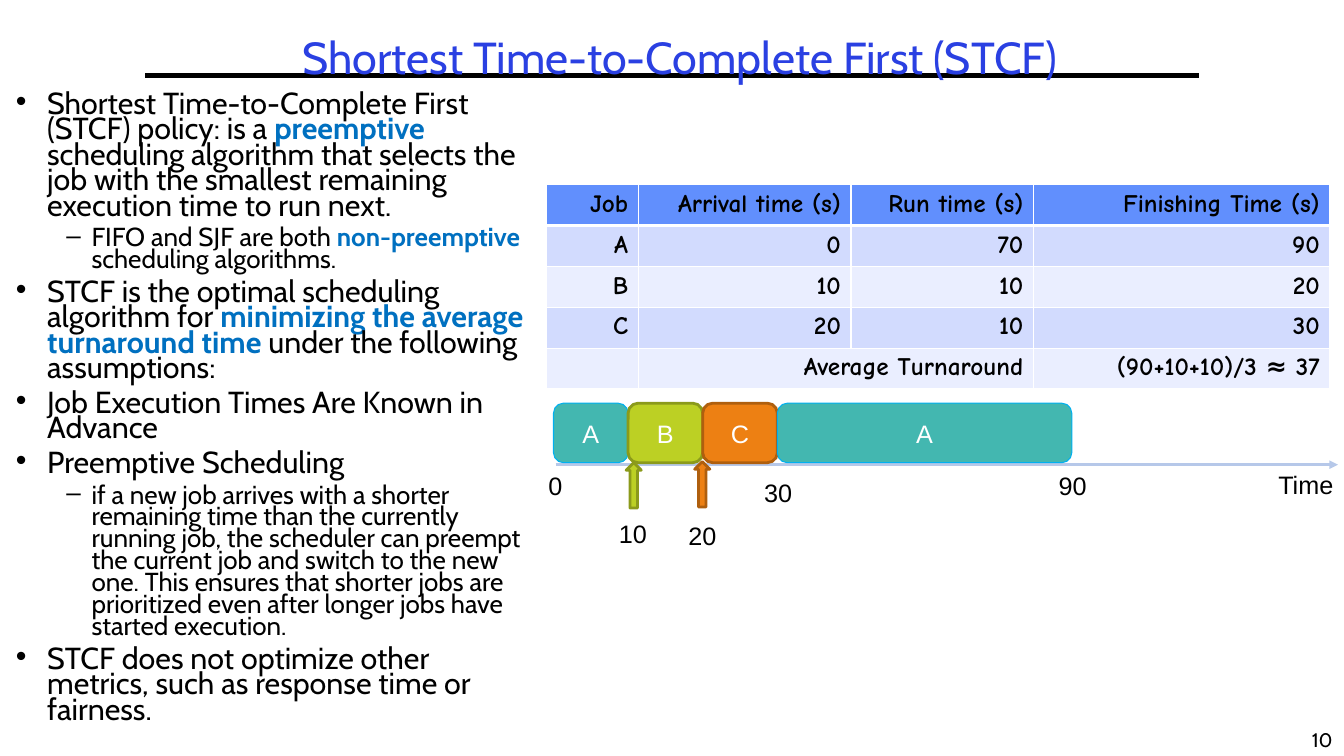
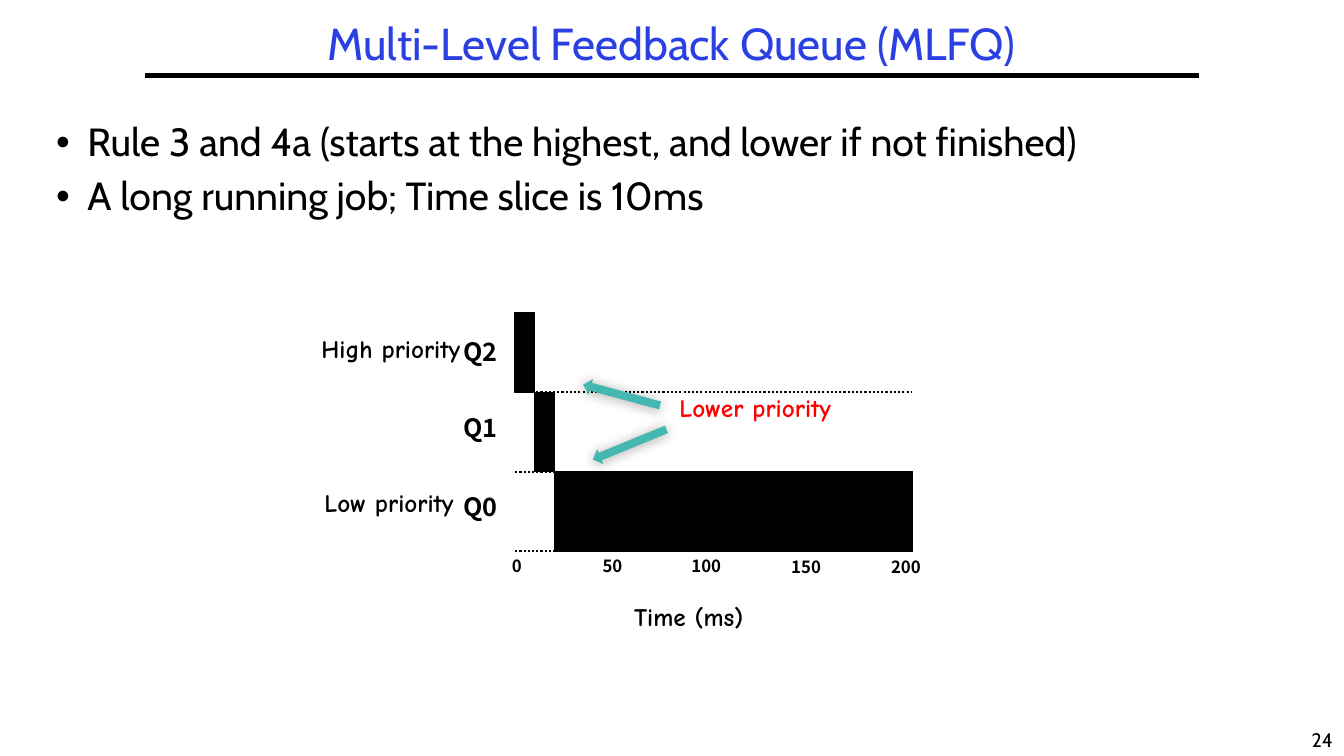
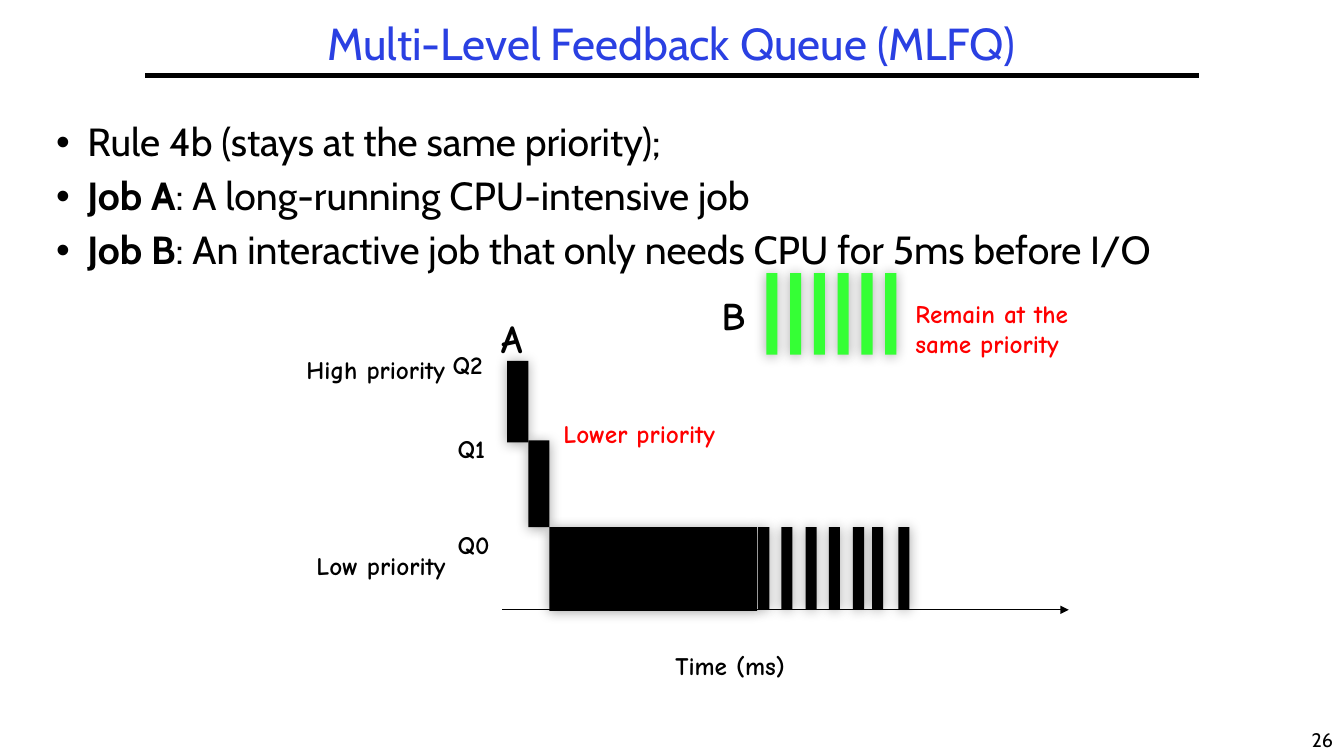
from dataclasses import dataclass, replace
from typing import NamedTuple, Optional

from lxml import etree
from pptx import Presentation
from pptx.dml.color import RGBColor
from pptx.enum.dml import MSO_LINE
from pptx.enum.shapes import MSO_CONNECTOR, MSO_SHAPE
from pptx.enum.text import MSO_ANCHOR, MSO_AUTO_SIZE, PP_ALIGN
from pptx.oxml.ns import qn
from pptx.util import Inches, Pt

RECT = MSO_SHAPE.RECTANGLE
ROUND_RECT = MSO_SHAPE.ROUNDED_RECTANGLE
LEFT_ARROW = MSO_SHAPE.LEFT_ARROW
STRAIGHT = MSO_CONNECTOR.STRAIGHT
SYS_DOT = MSO_LINE.ROUND_DOT
LEFT, CENTER, RIGHT = PP_ALIGN.LEFT, PP_ALIGN.CENTER, PP_ALIGN.RIGHT
TOP, MIDDLE = MSO_ANCHOR.TOP, MSO_ANCHOR.MIDDLE
FIT_SHAPE = MSO_AUTO_SIZE.SHAPE_TO_FIT_TEXT

BLACK, WHITE, RED = "000000", "FFFFFF", "FF0000"
TITLE_BLUE, KEYWORD_BLUE = "2A40E2", "0070C0"
TEAL, CYAN = "43B7B0", "00B0F0"
LIME, DARK_LIME = "BCD024", "8B9A1B"
ORANGE, DARK_ORANGE = "ED8013", "AF5F0E"
AXIS_BLUE, GREEN = "B6C8E9", "35FF35"
HEADER_FILL, BAND_FILLS = "618FFD", ("D2DBFE", "EAEEFF")


@dataclass(frozen=True)
class TextStyle:
    font: str
    size: float
    height: float
    color: str = BLACK
    bold: bool = False
    align: PP_ALIGN = LEFT
    wrap: bool = False


class Label(NamedTuple):
    x: float
    y: float
    w: float
    text: str


class Line(NamedTuple):
    x1: float
    x2: float
    y: float
    color: str
    width: float


class Bullet(NamedTuple):
    """Text between asterisks is emphasised."""
    text: str
    level: int = 0


class BodyStyle(NamedTuple):
    sizes: tuple[float, ...]
    spacing: float
    emphasis: str


class Arrow(NamedTuple):
    x: float
    y: float
    w: float
    h: float
    angle: float
    fill: str
    outline: Optional[str] = None


class Job(NamedTuple):
    name: str
    w: float
    fill: str
    outline: str
    weight: float


TITLE = TextStyle("Cabin", 32, 0.58, TITLE_BLUE, align=CENTER, wrap=True)
NUMBER = TextStyle("Cabin", 14, 0.33, align=CENTER)
ARIAL = TextStyle("Arial", 18, 0.4)
COMIC = TextStyle("Comic Neue", 18, 0.4, bold=True)
COMIC_RED = replace(COMIC, color=RED)
COMIC_BIG = replace(COMIC, size=28, height=0.57)
QUEUE = TextStyle("Noto Sans CJK KR", 18, 0.4, bold=True, align=CENTER, wrap=True)
TICK = replace(QUEUE, size=12, height=0.3)

BULLETS = (("•", 0.31, -0.31), ("–", 0.75, -0.25))
DENSE = BodyStyle((21.7, 18.6), 0.7, KEYWORD_BLUE)
ROOMY = BodyStyle((28,), 0.9, BLACK)
TITLE_AREA = (0.46, 0.17, 12.4)
BODY_AREA = (0.46, 1.17, 12.4, 5.99)


def rgb(color: str) -> RGBColor:
    return RGBColor.from_string(color)


def style_font(font, name: str, size: float, color: str, bold: bool) -> None:
    font.name, font.size, font.bold = name, Pt(size), bold
    font.color.rgb = rgb(color)


def style_paragraph(p, style: TextStyle) -> None:
    p.alignment = style.align
    for r in p.runs:
        style_font(r.font, style.font, style.size, style.color, style.bold)


def add_label(slide, label: Label, style: TextStyle):
    sp = slide.shapes.add_textbox(Inches(label.x), Inches(label.y),
                                  Inches(label.w), Inches(style.height))
    tf = sp.text_frame
    tf.text = label.text
    tf.word_wrap = style.wrap
    tf.auto_size = FIT_SHAPE
    style_paragraph(tf.paragraphs[0], style)
    return tf


def add_labels(slide, style: TextStyle, *labels: Label) -> None:
    for label in labels:
        add_label(slide, label, style)


def add_line(slide, line: Line, arrow: bool = False, dotted: bool = False) -> None:
    sp = slide.shapes.add_connector(STRAIGHT, Inches(line.x1), Inches(line.y),
                                    Inches(line.x2), Inches(line.y))
    sp.line.color.rgb = rgb(line.color)
    sp.line.width = Pt(line.width)
    if dotted:
        sp.line.dash_style = SYS_DOT
    if arrow:
        etree.SubElement(sp.line._get_or_add_ln(), qn("a:tailEnd"), type="triangle")
    etree.SubElement(sp._element.spPr, qn("a:effectLst"))


def add_shape(slide, kind, x: float, y: float, w: float, h: float, fill: str,
              outline: Optional[str] = None, weight: float = 0.75):
    sp = slide.shapes.add_shape(kind, Inches(x), Inches(y), Inches(w), Inches(h))
    sp.shadow.inherit = False
    sp.fill.solid()
    sp.fill.fore_color.rgb = rgb(fill)
    if outline:
        sp.line.color.rgb = rgb(outline)
        sp.line.width = Pt(weight)
    else:
        sp.line.fill.background()
    return sp


def add_soft_shadow(sp) -> None:
    effects = sp._element.spPr.find(qn("a:effectLst"))
    shadow = etree.SubElement(effects, qn("a:outerShdw"), blurRad=str(Pt(9)),
                              dist=str(Pt(1)), dir="5400000", rotWithShape="0")
    color = etree.SubElement(shadow, qn("a:srgbClr"), val=BLACK)
    etree.SubElement(color, qn("a:alpha"), val="35000")


def add_shadowed_bar(slide, x: float, y: float, w: float, h: float, fill: str) -> None:
    add_soft_shadow(add_shape(slide, RECT, x, y, w, h, fill))


def add_arrow(slide, arrow: Arrow) -> None:
    """Outlined arrows are flat, the others cast a shadow."""
    sp = add_shape(slide, LEFT_ARROW, arrow.x, arrow.y, arrow.w, arrow.h,
                   arrow.fill, arrow.outline, 2)
    sp.rotation = arrow.angle
    if not arrow.outline:
        add_soft_shadow(sp)


def add_bullets(slide, area: tuple[float, ...], bullets: list[Bullet],
                style: BodyStyle) -> None:
    sp = slide.shapes.add_textbox(*map(Inches, area))
    tf = sp.text_frame
    tf.word_wrap = True
    for i, bullet in enumerate(bullets):
        p = tf.add_paragraph() if i else tf.paragraphs[0]
        char, margin, indent = BULLETS[bullet.level]
        size = style.sizes[bullet.level]
        pPr = p._p.get_or_add_pPr()
        pPr.set("marL", str(Inches(margin)))
        pPr.set("indent", str(Inches(indent)))
        etree.SubElement(pPr, qn("a:buFont"), typeface="Arial")
        etree.SubElement(pPr, qn("a:buChar"), char=char)
        p.level = bullet.level
        p.line_spacing = style.spacing
        if i:
            p.space_before = Pt(round(0.3 * size, 1))
        for n, part in enumerate(bullet.text.split("*")):
            if part:
                r = p.add_run()
                r.text = part
                strong = n % 2 == 1
                style_font(r.font, "Cabin", size, style.emphasis if strong else BLACK, strong)


def add_base_slide(prs, title: str, number: int, title_area=TITLE_AREA):
    slide = prs.slides.add_slide(prs.slide_layouts[6])
    add_label(slide, Label(12.9, 7.17, 0.43, str(number)), NUMBER)
    add_line(slide, Line(1.44, 11.89, 0.75, BLACK, 3))
    tf = add_label(slide, Label(*title_area, title), TITLE)
    tf.vertical_anchor = MIDDLE
    tf.paragraphs[0].line_spacing = 0.9
    return slide


def add_borders(cell, bottom: float) -> None:
    tcPr = cell._tc.get_or_add_tcPr()
    for side, width in (("L", 1), ("R", 1), ("T", 1), ("B", bottom)):
        ln = etree.SubElement(tcPr, qn(f"a:ln{side}"), w=str(Pt(width)))
        fill = etree.SubElement(ln, qn("a:solidFill"))
        etree.SubElement(fill, qn("a:srgbClr"), val=WHITE)


def add_job_table(slide) -> None:
    rows = [
        ("Job", "Arrival time (s)", "Run time (s)", "Finishing Time (s)"),
        ("A", "0", "70", "90"),
        ("B", "10", "10", "20"),
        ("C", "20", "10", "30"),
        ("", "Average Turnaround", "", "(90+10+10)/3 ≈ 37"),
    ]
    widths = (0.91, 2.11, 1.81, 2.94)
    table = slide.shapes.add_table(len(rows), len(widths), Inches(5.42), Inches(1.83),
                                   Inches(sum(widths)), Inches(2.03)).table
    for column, width in zip(table.columns, widths):
        column.width = Inches(width)
    for i, row in enumerate(rows):
        for j, text in enumerate(row):
            cell = table.cell(i, j)
            add_borders(cell, 1 if i else 3)
            cell.fill.solid()
            cell.fill.fore_color.rgb = rgb(BAND_FILLS[(i - 1) % 2] if i else HEADER_FILL)
            cell.text = text
            style_paragraph(cell.text_frame.paragraphs[0], replace(COMIC, align=RIGHT))
    table.cell(4, 1).merge(table.cell(4, 2))


def add_job_timeline(slide) -> None:
    jobs = [
        Job("A", 0.74, TEAL, CYAN, 0.75),
        Job("B", 0.74, LIME, DARK_LIME, 2),
        Job("C", 0.74, ORANGE, DARK_ORANGE, 2),
        Job("A", 2.92, TEAL, CYAN, 0.75),
    ]
    add_line(slide, Line(5.51, 13.27, 4.61, AXIS_BLUE, 2), arrow=True)
    x = 5.49
    for job in jobs:
        sp = add_shape(slide, ROUND_RECT, x, 4, job.w, 0.59, job.fill, job.outline, job.weight)
        tf = sp.text_frame
        tf.text = job.name
        tf.vertical_anchor = MIDDLE
        style_paragraph(tf.paragraphs[0], replace(ARIAL, color=WHITE, align=CENTER))
        x += job.w
    add_labels(slide, ARIAL,
               Label(12.58, 4.61, 0.75, "Time"), Label(5.34, 4.62, 0.34, "0"),
               Label(6.04, 5.09, 0.48, "10"), Label(6.73, 5.11, 0.48, "20"),
               Label(7.48, 4.69, 0.48, "30"), Label(10.4, 4.62, 0.48, "90"))
    add_arrow(slide, Arrow(6.06, 4.74, 0.45, 0.15, 90, LIME, DARK_LIME))
    add_arrow(slide, Arrow(6.74, 4.73, 0.45, 0.15, 90, ORANGE, DARK_ORANGE))


def build_stcf(prs) -> None:
    slide = add_base_slide(prs, "Shortest Time-to-Complete First (STCF)", 10, (2.01, 0.3, 9.47))
    add_bullets(slide, (0.06, 0.88, 5.24, 6.7), [
        Bullet("Shortest Time-to-Complete First (STCF) policy: is a *preemptive* scheduling "
               "algorithm that selects the job with the smallest remaining execution time "
               "to run next."),
        Bullet("FIFO and SJF are both *non-preemptive *scheduling algorithms.", 1),
        Bullet("STCF is the optimal scheduling algorithm for *minimizing the average "
               "turnaround time *under the following assumptions:"),
        Bullet("Job Execution Times Are Known in Advance"),
        Bullet("Preemptive Scheduling"),
        Bullet("if a new job arrives with a shorter remaining time than the currently running "
               "job, the scheduler can preempt the current job and switch to the new one. "
               "This ensures that shorter jobs are prioritized even after longer jobs have "
               "started execution.", 1),
        Bullet("STCF does not optimize other metrics, such as response time or fairness."),
    ], DENSE)
    add_job_timeline(slide)
    add_job_table(slide)


def build_long_job(prs) -> None:
    slide = add_base_slide(prs, "Multi-Level Feedback Queue (MLFQ)", 24)
    add_bullets(slide, BODY_AREA, [
        Bullet("Rule 3 and 4a (starts at the highest, and lower if not finished)"),
        Bullet("A long running job; Time slice is 10ms"),
    ], ROOMY)
    lane_top, lane_h, slice_w = 3.1, 0.79, 0.2
    lanes = (("Q2", 3.29, slice_w), ("Q1", 4.04, slice_w), ("Q0", 4.83, 3.55))
    for i, (queue, label_y, bar_w) in enumerate(lanes):
        y = lane_top + i * lane_h
        add_line(slide, Line(5.11, 9.05, y + lane_h, BLACK, 1.5), dotted=True)
        add_shape(slide, RECT, 5.1 + i * slice_w, y, bar_w, lane_h, BLACK, BLACK)
        add_label(slide, Label(4.42, label_y, 0.69, queue), QUEUE)
    add_labels(slide, TICK,
               Label(4.98, 5.46, 0.24, "0"), Label(5.84, 5.46, 0.47, "50"),
               Label(6.7, 5.46, 0.61, "100"), Label(7.69, 5.47, 0.61, "150"),
               Label(8.68, 5.47, 0.61, "200"))
    add_labels(slide, COMIC,
               Label(6.19, 5.92, 1.4, "Time (ms)"), Label(3.09, 3.26, 1.76, "High priority"),
               Label(3.12, 4.79, 1.67, "Low priority"))
    add_label(slide, Label(6.64, 3.84, 1.93, "Lower priority"), COMIC_RED)
    add_arrow(slide, Arrow(5.77, 3.84, 0.79, 0.16, 15.1, TEAL))
    add_arrow(slide, Arrow(5.85, 4.33, 0.79, 0.16, 337.7, TEAL))


def build_interactive_job(prs) -> None:
    slide = add_base_slide(prs, "Multi-Level Feedback Queue (MLFQ)", 26)
    add_bullets(slide, BODY_AREA, [
        Bullet("Rule 4b (stays at the same priority);"),
        Bullet("*Job A*: A long-running CPU-intensive job"),
        Bullet("*Job B*: An interactive job that only needs CPU for 5ms before I/O"),
    ], ROOMY)
    add_labels(slide, COMIC,
               Label(6.6, 6.4, 1.4, "Time (ms)"), Label(2.94, 3.47, 1.76, "High priority"),
               Label(3.04, 5.41, 1.67, "Low priority"), Label(4.44, 5.2, 0.58, "Q0"),
               Label(4.44, 4.25, 0.58, "Q1"), Label(4.39, 3.42, 0.58, "Q2"))
    add_label(slide, Label(5.49, 4.1, 1.93, "Lower priority"), COMIC_RED)
    add_labels(slide, COMIC_BIG, Label(4.87, 3.07, 0.49, "A"), Label(7.06, 2.84, 0.45, "B"))
    add_line(slide, Line(4.98, 10.6, 6.05, BLACK, 0.75), arrow=True)
    for x, y, w, h in ((5.03, 3.58, 0.21, 0.81), (5.24, 4.37, 0.21, 0.86),
                       (5.45, 5.23, 2.06, 0.83)):
        add_shadowed_bar(slide, x, y, w, h, BLACK)
    burst_w, burst_h = 0.11, 0.81
    for i in range(6):
        add_shadowed_bar(slide, 7.6 + i * 0.236, 2.71, burst_w, burst_h, GREEN)
    for x in (7.52, 7.75, 7.99, 8.22, 8.46, 8.65, 8.91):
        add_shadowed_bar(slide, x, 5.23, burst_w, burst_h, BLACK)
    add_label(slide, Label(8.98, 2.91, 1.85, "Remain at the same priority"),
              replace(COMIC_RED, height=1.01, wrap=True))


def main() -> None:
    prs = Presentation()
    prs.slide_width, prs.slide_height = Inches(13.33), Inches(7.5)
    build_stcf(prs)
    build_long_job(prs)
    build_interactive_job(prs)
    prs.save("out.pptx")


if __name__ == "__main__":
    main()
